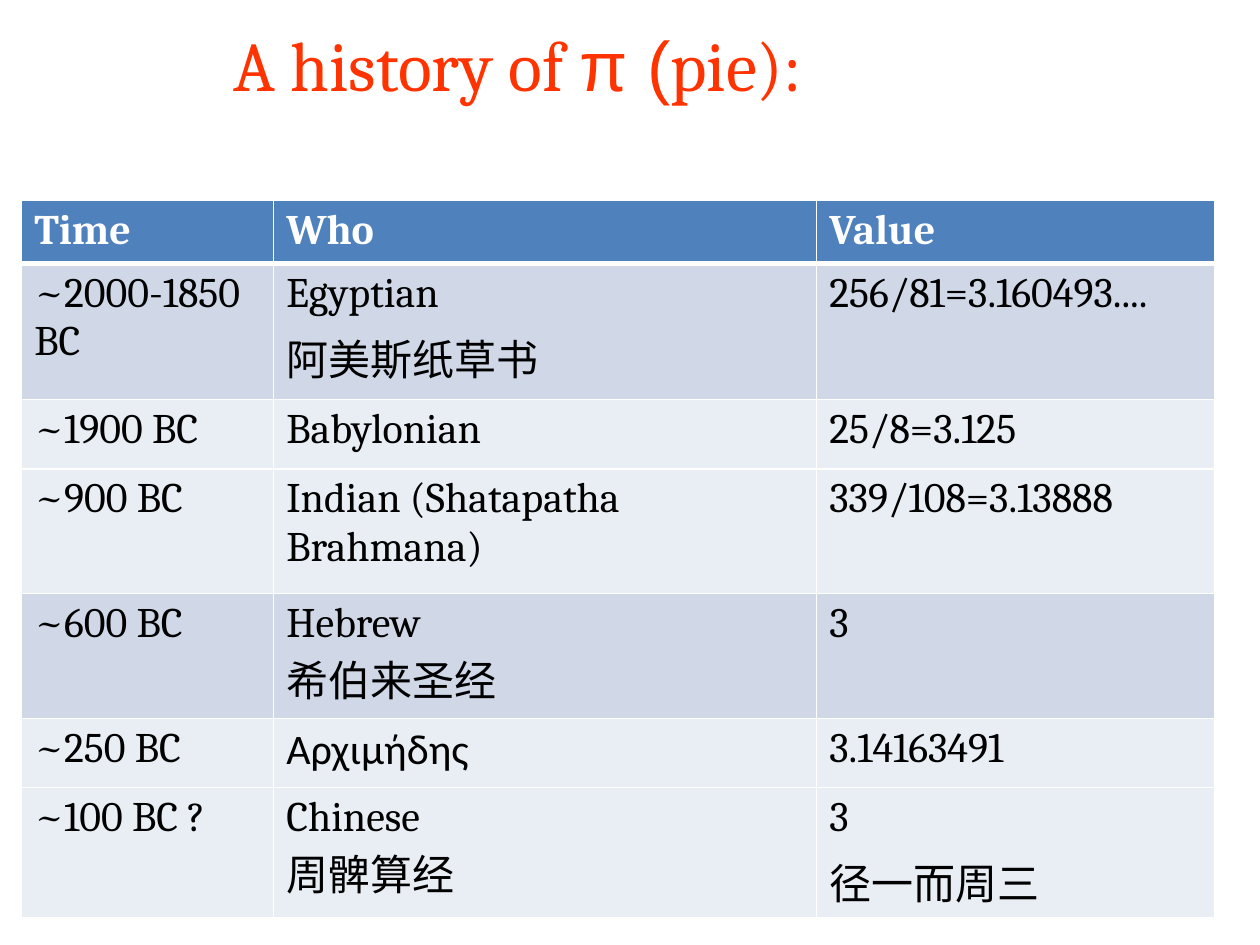
from pptx import Presentation
from pptx.dml.color import RGBColor
from pptx.enum.text import MSO_ANCHOR, MSO_AUTO_SIZE, PP_ALIGN
from pptx.oxml import parse_xml
from pptx.oxml.ns import nsdecls
from pptx.util import Pt

ORANGE = RGBColor(0xFF, 0x33, 0x00)
WHITE = RGBColor(0xFF, 0xFF, 0xFF)
BLACK = RGBColor(0x00, 0x00, 0x00)
BLUE = RGBColor(0x4F, 0x81, 0xBD)
MEDIUM_BAND = RGBColor(0xD0, 0xD8, 0xE8)
LIGHT_BAND = RGBColor(0xE9, 0xED, 0xF4)

COLUMN_WIDTHS = [144, 310.3, 227.5]
ROWS = [
    (36, BLUE, ["Time", "Who", "Value"]),
    (77.8, MEDIUM_BAND, ["~2000-1850 BC", "Egyptian\n阿美斯纸草书", "256/81=3.160493...."]),
    (39.6, LIGHT_BAND, ["~1900 BC", "Babylonian", "25/8=3.125"]),
    (71.3, LIGHT_BAND, ["~900 BC", "Indian (Shatapatha Brahmana)", "339/108=3.13888"]),
    (71.3, MEDIUM_BAND, ["~600 BC", "Hebrew\v希伯来圣经", "3"]),
    (39.6, LIGHT_BAND, ["~250 BC", "Αρχιμήδης", "3.14163491"]),
    (64.8, LIGHT_BAND, ["~100 BC ?", "Chinese\v周髀算经", "3\n径一而周三"]),
]


def add_text(paragraph, text, font="Cambria", size=24, color=BLACK, bold=False):
    for index, line in enumerate(text.split("\v")):
        if index:
            paragraph.add_line_break()
        run = paragraph.add_run()
        run.text = line
        run.font.name = font
        run.font.size = Pt(size)
        run.font.color.rgb = color
        run.font.bold = bold


def add_title(slide):
    title = slide.shapes.title
    title.left, title.top, title.width, title.height = Pt(33.8), Pt(8.6), Pt(524.2), Pt(87.1)
    frame = title.text_frame
    frame.word_wrap = True
    frame.auto_size = MSO_AUTO_SIZE.NONE
    frame.vertical_anchor = MSO_ANCHOR.TOP
    paragraph = frame.paragraphs[0]
    paragraph.alignment = PP_ALIGN.CENTER
    for text, font in [("A history of ", "Cambria"), ("π (", "Arial"), ("pie):", "Cambria")]:
        add_text(paragraph, text, font=font, size=40, color=ORANGE)


def set_borders(cell, top, bottom):
    properties = cell._tc.get_or_add_tcPr()
    for side, width in [("L", 1), ("R", 1), ("T", top), ("B", bottom)]:
        properties.append(parse_xml(
            f'<a:ln{side} {nsdecls("a")} w="{Pt(width)}"><a:solidFill>'
            f'<a:srgbClr val="{WHITE}"/></a:solidFill></a:ln{side}>'))


def fill_cell(cell, text, fill, is_header):
    cell.fill.solid()
    cell.fill.fore_color.rgb = fill
    frame = cell.text_frame
    for index, line in enumerate(text.split("\n")):
        paragraph = frame.add_paragraph() if index else frame.paragraphs[0]
        if index:
            paragraph.space_before = Pt(4.8)
        add_text(paragraph, line, font="Calibri" if line == "Αρχιμήδης" else "Cambria",
                 color=WHITE if is_header else BLACK, bold=is_header)


def add_history_table(slide):
    heights = [height for height, _, _ in ROWS]
    table = slide.shapes.add_table(len(ROWS), len(COLUMN_WIDTHS), Pt(12.4), Pt(114.5),
                                   Pt(sum(COLUMN_WIDTHS)), Pt(sum(heights))).table
    for column, width in zip(table.columns, COLUMN_WIDTHS):
        column.width = Pt(width)
    for row_index, (height, fill, texts) in enumerate(ROWS):
        table.rows[row_index].height = Pt(height)
        for column_index, text in enumerate(texts):
            cell = table.cell(row_index, column_index)
            set_borders(cell, top=3 if row_index == 1 else 1, bottom=3 if row_index == 0 else 1)
            fill_cell(cell, text, fill, is_header=row_index == 0)


def main():
    presentation = Presentation()
    presentation.slide_width, presentation.slide_height = Pt(720), Pt(540)
    slide = presentation.slides.add_slide(presentation.slide_layouts[5])
    add_title(slide)
    add_history_table(slide)
    presentation.save("out.pptx")


if __name__ == "__main__":
    main()
